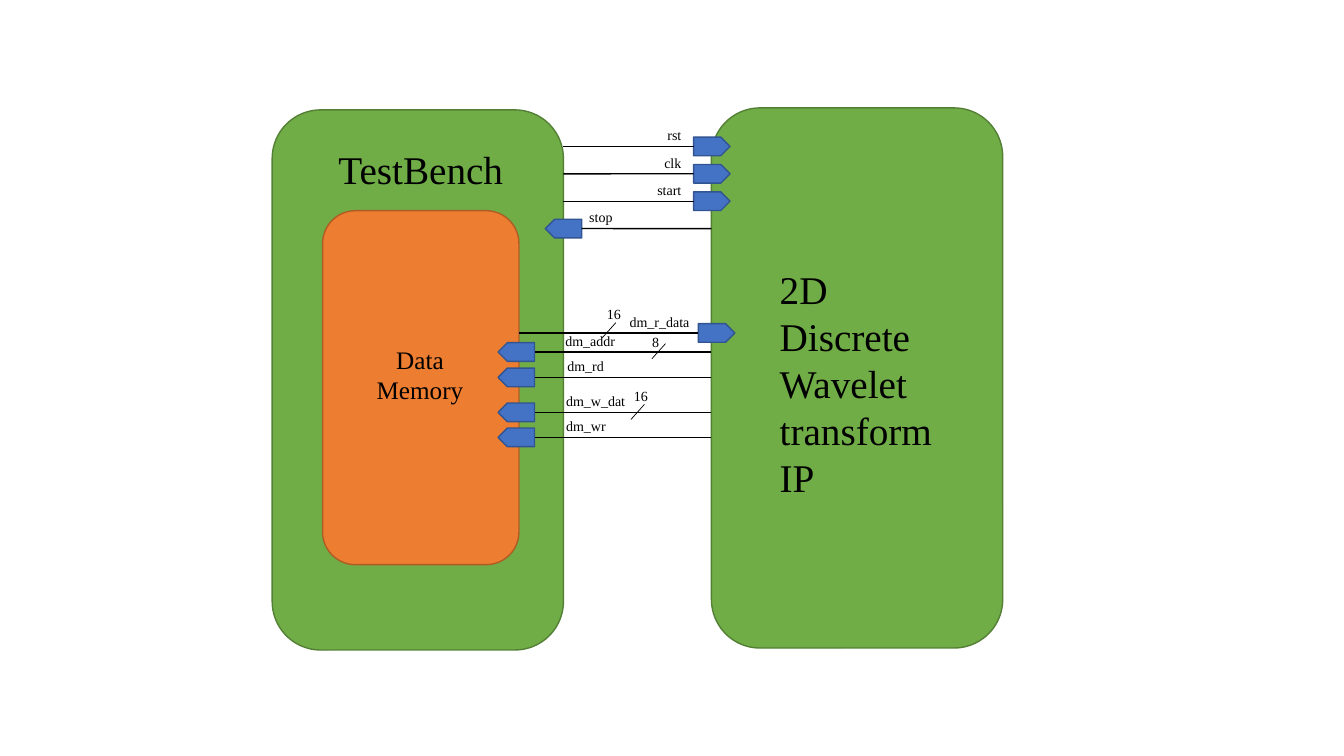
from dataclasses import dataclass

from lxml import etree
from pptx import Presentation
from pptx.dml.color import RGBColor
from pptx.enum.shapes import MSO_CONNECTOR as Connector, MSO_SHAPE as Shape
from pptx.enum.text import PP_ALIGN as Align
from pptx.oxml.ns import qn
from pptx.util import Cm, Pt

BLACK = RGBColor(0x00, 0x00, 0x00)
GREEN = RGBColor(0x70, 0xAD, 0x47)
DARK_GREEN = RGBColor(0x53, 0x80, 0x35)
ORANGE = RGBColor(0xED, 0x7D, 0x31)
DARK_ORANGE = RGBColor(0xAF, 0x5C, 0x24)
BLUE = RGBColor(0x44, 0x72, 0xC4)
DARK_BLUE = RGBColor(0x32, 0x54, 0x91)
FONT = "Times New Roman"

# Lengths in cm: left, top, width, height
TESTBENCH = (6.86, 2.77, 7.34, 13.61)
TRANSFORM = (17.93, 2.72, 7.34, 13.61)
MEMORY = (8.13, 5.31, 4.95, 8.92)
BUS = (14.2, 2.72, 3.73, 13.61)  # gap between the two blocks

PIN_WIDTH, PIN_HEIGHT = 0.92, 0.47
LABEL_WIDTH, LABEL_HEIGHT, LABEL_RISE = 2.16, 0.68, 0.62
BITS_WIDTH = 1.0
SLASH_X, SLASH_Y = 0.17, 0.19  # half extents of a bus-width slash
CONTROL_TOP, CONTROL_STEP = 0.97, 0.69


@dataclass
class Signal:
    """One wire; positions are relative to the bus box."""
    name: str
    y: float
    pin: float  # left edge of the pin
    far: float  # x of the wire end away from the pin
    label: float  # left edge of the label box
    to_left: bool = False
    align: Align = Align.LEFT


@dataclass
class BusWidth:
    bits: str
    slash: float
    y: float
    middle: float  # centre of the number
    rise: float


control_y = [CONTROL_TOP + row * CONTROL_STEP for row in range(4)]
SIGNALS = [
    *[Signal(name, y, 3.28, 0, 1.06, align=Align.RIGHT)
      for name, y in zip(("rst", "clk", "start"), control_y)],
    Signal("stop", control_y[3], -0.46, 3.73, 0.4, True),
    Signal("dm_r_data", 5.67, 3.4, -1.12, 1.42),
    *[Signal(name, y, -1.65, 3.73, label, True)
      for name, y, label in (("dm_addr", 6.15, -0.2), ("dm_rd", 6.79, -0.15),
                             ("dm_w_dat", 7.67, -0.18), ("dm_wr", 8.3, -0.18))],
]
BUS_WIDTHS = [
    BusWidth("16", 1.15, 5.6, 1.27, 0.74),
    BusWidth("8", 2.4, 6.13, 2.32, 0.56),
    BusWidth("16", 1.87, 7.66, 1.95, 0.74),
]


def add_block(page, kind, box, fill, line):
    block = page.shapes.add_shape(kind, *map(Cm, box))
    block.shadow.inherit = False
    block.fill.solid()
    block.fill.fore_color.rgb = fill
    block.line.color.rgb = line
    block.line.width = Pt(1)
    return block


def add_text(page, box, text, size, align=Align.LEFT):
    frame = page.shapes.add_textbox(*map(Cm, box)).text_frame
    frame.word_wrap = True
    para = frame.paragraphs[0]
    para.alignment = align
    span = para.add_run()
    span.text = text
    span.font.name = FONT
    span.font.size = Pt(size)
    span.font.color.rgb = BLACK


def add_line(page, start, end, weight):
    line = page.shapes.add_connector(Connector.STRAIGHT, *map(Cm, start + end))
    line.line.color.rgb = BLACK
    line.line.width = Pt(weight)
    etree.SubElement(line._element.spPr, qn("a:effectLst"))
    return line


def draw_module(page, box, fill, line, text, text_box, size, align=Align.LEFT):
    """A rounded block with its caption placed inside it."""
    left, top = box[:2]
    add_block(page, Shape.ROUNDED_RECTANGLE, box, fill, line)
    x, y, width, height = text_box
    add_text(page, (left + x, top + y, width, height), text, size, align)


def draw_signal(page, box, signal):
    """A pin, the wire into its flat side and the signal name."""
    left, top = box[:2]
    y = top + signal.y
    pin_left = left + signal.pin
    pin = add_block(page, Shape.PENTAGON,
                    (pin_left, y - PIN_HEIGHT / 2, PIN_WIDTH, PIN_HEIGHT),
                    BLUE, DARK_BLUE)
    flat_side = pin_left
    if signal.to_left:
        pin.rotation = 180
        flat_side += PIN_WIDTH
    wire = add_line(page, (left + signal.far, y), (flat_side, y), 1)
    wire.end_connect(pin, 1)
    wire.end_x = Cm(flat_side)  # the flat side of a turned pin faces right
    add_text(page, (left + signal.label, y - LABEL_RISE, LABEL_WIDTH, LABEL_HEIGHT),
             signal.name, 10, signal.align)


def draw_bus_width(page, box, bus):
    """A slash across the wire with the number of bits."""
    left, top = box[:2]
    x, y = left + bus.slash, top + bus.y
    add_line(page, (x + SLASH_X, y - SLASH_Y), (x - SLASH_X, y + SLASH_Y), 0.5)
    add_text(page, (left + bus.middle - BITS_WIDTH / 2, y - bus.rise,
                    BITS_WIDTH, LABEL_HEIGHT), bus.bits, 10, Align.CENTER)


def main():
    deck = Presentation()
    deck.slide_width, deck.slide_height = Cm(33.87), Cm(19.05)
    page = deck.slides.add_slide(deck.slide_layouts[6])

    # Modules
    draw_module(page, TESTBENCH, GREEN, DARK_GREEN, "TestBench",
                (1.42, 0.76, 4.78, 1.48), 28)
    draw_module(page, TRANSFORM, GREEN, DARK_GREEN,
                "2D Discrete Wavelet transform IP", (1.47, 3.84, 4.78, 6.25), 28)
    draw_module(page, MEMORY, ORANGE, DARK_ORANGE, "Data Memory",
                (1.02, 3.23, 2.87, 1.8), 18, Align.CENTER)

    # Signals between the modules
    for signal in SIGNALS:
        draw_signal(page, BUS, signal)
    for bus in BUS_WIDTHS:
        draw_bus_width(page, BUS, bus)

    deck.save("out.pptx")


if __name__ == "__main__":
    main()
